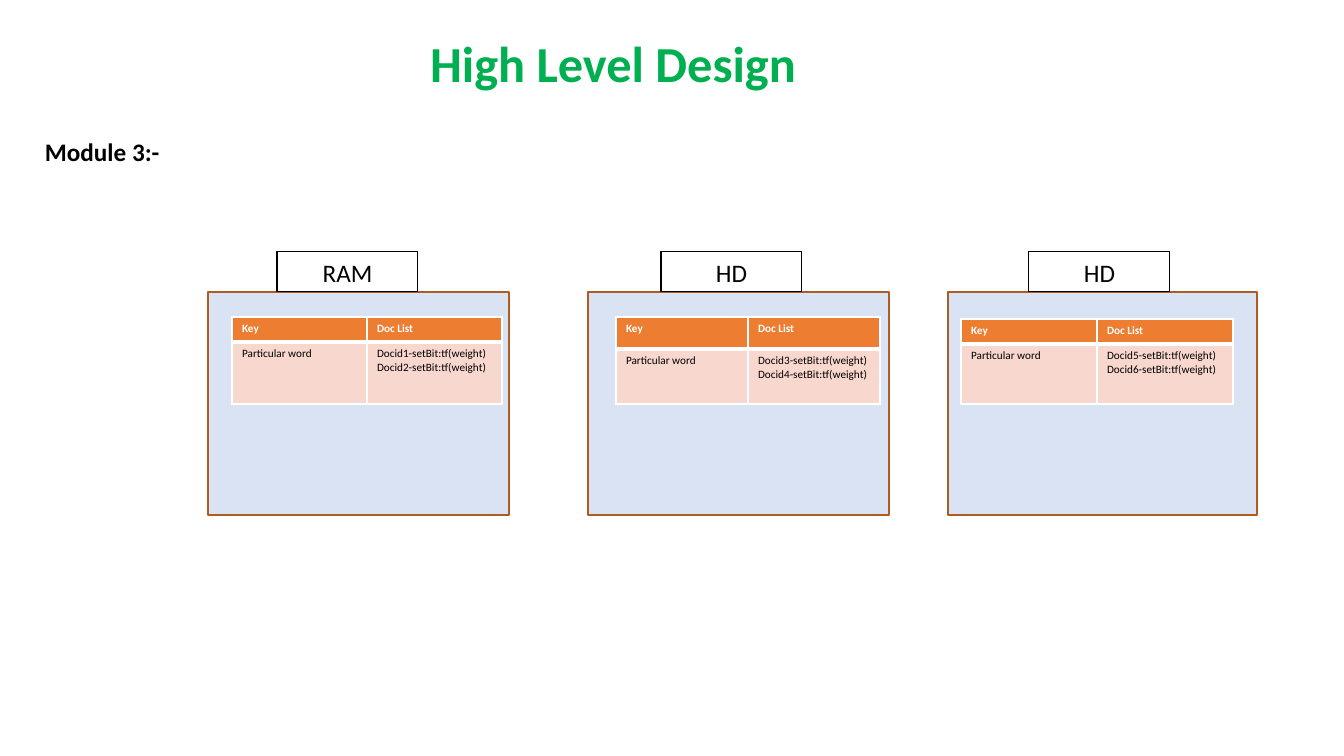
from dataclasses import dataclass

from lxml.etree import SubElement
from pptx import Presentation
from pptx.dml.color import RGBColor
from pptx.enum.shapes import MSO_SHAPE
from pptx.enum.text import MSO_ANCHOR, MSO_AUTO_SIZE, PP_ALIGN
from pptx.oxml.ns import qn
from pptx.util import Emu, Pt

# Content: lengths in px
TITLE = " High Level Design"
MODULE = "Module 3:-"
HEADER = ["Key", "Doc List"]
WORD = "Particular word"
STORES = [
    dict(label="RAM", label_x=277, box_x=208, box_w=301,
         table=(232, 317), col_w=135, rows=(25, 62), docs=(1, 2)),
    dict(label="HD", label_x=661, box_x=588, box_w=301,
         table=(616, 317), col_w=132, rows=(32, 55), docs=(3, 4)),
    dict(label="HD", label_x=1029, box_x=948, box_w=309,
         table=(961, 319), col_w=136, rows=(25, 60), docs=(5, 6)),
]
BOX_Y, BOX_H = 292, 223
LABEL_W, LABEL_H = 141, 40


@dataclass(frozen=True)
class Theme:
    font: str = "Calibri"
    title: str = "00B050"
    ink: str = "000000"
    white: str = "FFFFFF"
    box: str = "DAE3F3"
    box_line: str = "AF5C24"
    header: str = "ED7D31"
    body: str = "F8D7CE"
    title_pt: int = 36
    text_pt: int = 18
    cell_pt: int = 8


T = Theme()
PX = 914400 / 100.8


def px(*lengths):
    return [Emu(round(n * PX)) for n in lengths]


def write(tf, lines, size, color, bold=False, align=None):
    for i, line in enumerate(lines):
        p = tf.paragraphs[0] if i == 0 else tf.add_paragraph()
        p.alignment = align
        r = p.add_run()
        r.text = line
        for name, value in dict(name=T.font, size=Pt(size), bold=bold).items():
            setattr(r.font, name, value)
        r.font.color.rgb = RGBColor.from_string(color)


def add_rect(s, x, y, w, h, line, line_pt, fill=None):
    sp = s.shapes.add_shape(MSO_SHAPE.RECTANGLE, *px(x, y, w, h))
    sp.shadow.inherit = False
    if fill:
        sp.fill.solid()
        sp.fill.fore_color.rgb = RGBColor.from_string(fill)
    else:
        sp.fill.background()
    sp.line.color.rgb = RGBColor.from_string(line)
    sp.line.width = Pt(line_pt)
    return sp


def format_cell(cell, fill, bottom_pt):
    tc_pr = cell._tc.get_or_add_tcPr()
    for side, pt in dict(L=1, R=1, T=1, B=bottom_pt).items():
        ln = SubElement(tc_pr, qn(f"a:ln{side}"), w=str(Pt(pt)))
        SubElement(SubElement(ln, qn("a:solidFill")), qn("a:srgbClr"), val=T.white)
    cell.fill.solid()
    cell.fill.fore_color.rgb = RGBColor.from_string(fill)


def add_index(s, store):
    col_w, rows = store["col_w"], store["rows"]
    frame = s.shapes.add_table(2, 2, *px(*store["table"], 2 * col_w, sum(rows)))
    table = frame.table
    docs = [f"Docid{n}-setBit:tf(weight)" for n in store["docs"]]
    cells = [[[name] for name in HEADER], [[WORD], docs]]
    for col in table.columns:
        col.width = px(col_w)[0]
    for i, (row, height) in enumerate(zip(table.rows, rows)):
        row.height = px(height)[0]
        head = i == 0
        for cell, lines in zip(row.cells, cells[i]):
            format_cell(cell, T.header if head else T.body, 3 if head else 1)
            write(cell.text_frame, lines, T.cell_pt, T.white if head else T.ink, head)


def main():
    prs = Presentation()
    prs.slide_width, prs.slide_height = px(1344, 756)
    s = prs.slides.add_slide(prs.slide_layouts[5])

    # Title and module heading
    title = s.shapes.title
    title.left, title.top, title.width, title.height = px(28, 17, 1159, 98)
    tf = title.text_frame
    for name, value in dict(vertical_anchor=MSO_ANCHOR.MIDDLE, word_wrap=True,
                            auto_size=MSO_AUTO_SIZE.NONE).items():
        setattr(tf, name, value)
    write(tf, [TITLE], T.title_pt, T.title, True, PP_ALIGN.CENTER)
    tf.paragraphs[0].line_spacing = 0.9

    tf = s.shapes.add_textbox(*px(35, 131, 430, 40)).text_frame
    tf.word_wrap = True
    write(tf, [MODULE], T.text_pt, T.ink, True)

    # Storage boxes, each with its index table and label
    for store in STORES:
        add_rect(s, store["box_x"], BOX_Y, store["box_w"], BOX_H, T.box_line, 1, T.box)
        add_index(s, store)
        label = add_rect(s, store["label_x"], BOX_Y - LABEL_H, LABEL_W, LABEL_H, T.ink, 0.75)
        label.text_frame.vertical_anchor = MSO_ANCHOR.TOP
        write(label.text_frame, [store["label"]], T.text_pt, T.ink, align=PP_ALIGN.CENTER)

    prs.save("out.pptx")


if __name__ == "__main__":
    main()
